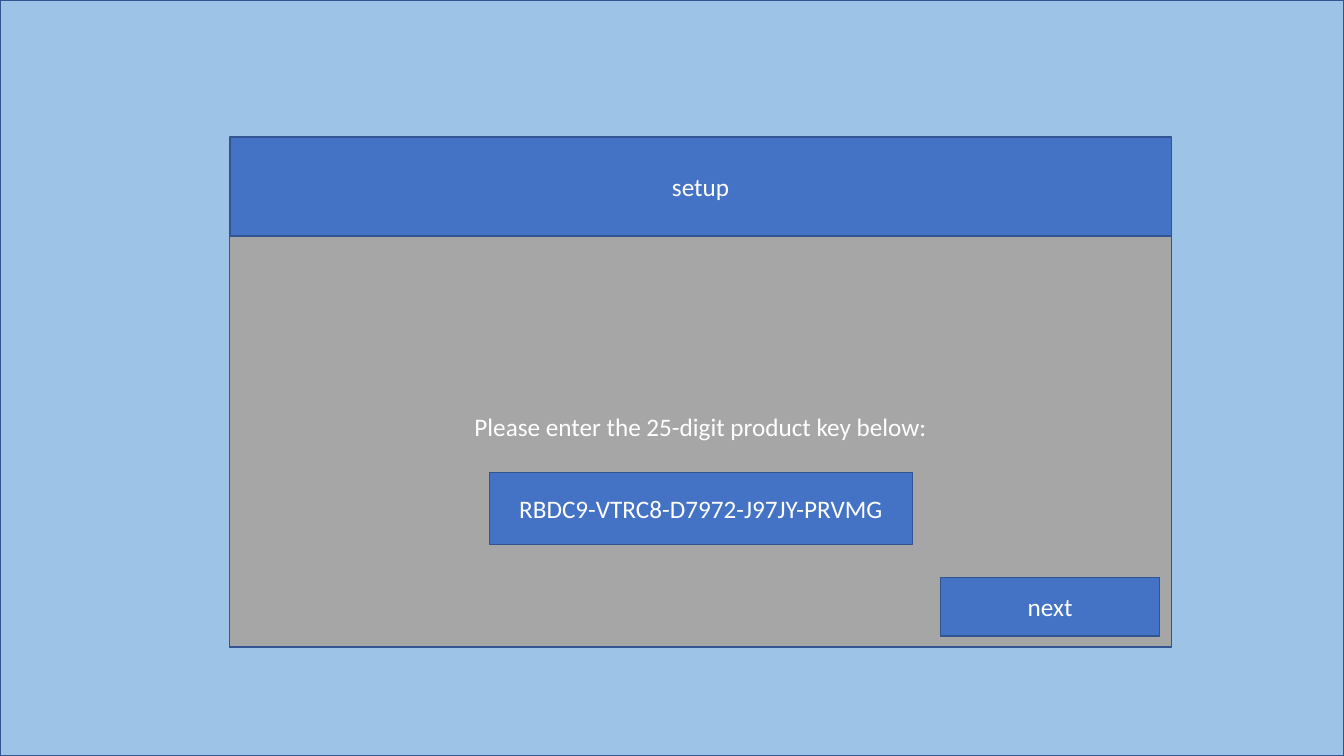
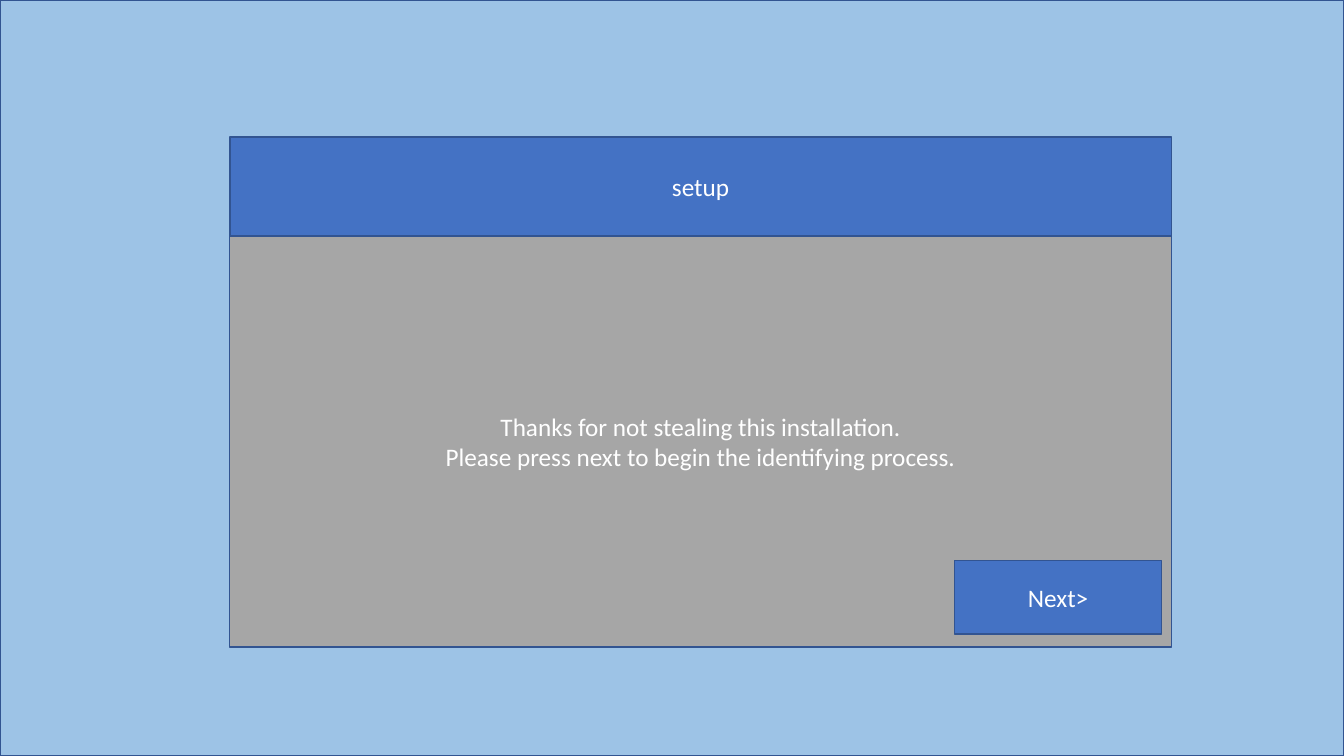
from pptx import Presentation
from pptx.dml.color import RGBColor
from pptx.enum.shapes import MSO_SHAPE
from pptx.enum.text import MSO_ANCHOR, MSO_AUTO_SIZE, PP_ALIGN
from pptx.util import Inches, Pt

RECT = MSO_SHAPE.RECTANGLE
MIDDLE = MSO_ANCHOR.MIDDLE
CENTER = PP_ALIGN.CENTER
FIXED = MSO_AUTO_SIZE.NONE

COLORS = {"sky": "9DC3E6", "panel": "A6A6A6", "blue": "4472C4",
          "edge": "325491", "text": "FFFFFF"}
LEFT, WIDTH = 17.1, 70.05
TOP, HEAD, BODY = 18.13, 13.07, 54.4


class Wizard:
    font = "Calibri"
    size = Pt(18)

    def __init__(self):
        self.deck = Presentation()
        self.deck.slide_width = Inches(13.33)
        self.deck.slide_height = Inches(7.5)
        self.slide = None

    def color(self, name):
        return RGBColor.from_string(COLORS[name])

    def place(self, shape, box):
        x, y, w, h = box
        wide, high = self.deck.slide_width, self.deck.slide_height
        shape.left, shape.width = (int(wide * n / 100) for n in (x, w))
        shape.top, shape.height = (int(high * n / 100) for n in (y, h))

    def paint(self, shape, fill):
        shape.fill.solid()
        shape.fill.fore_color.rgb = self.color(fill)
        shape.line.color.rgb = self.color("edge")
        shape.line.width = Pt(1)

    def label(self, shape, lines, lift=0):
        frame = shape.text_frame
        frame.text = "\n".join(lines)
        frame.word_wrap = True
        frame.auto_size = FIXED
        frame.vertical_anchor = MIDDLE
        frame.margin_bottom = Inches(0.05 + lift)
        for para in frame.paragraphs:
            para.alignment = CENTER
            para.font.name = self.font
            para.font.size = self.size
            para.font.color.rgb = self.color("text")

    def block(self, box, fill, lines=(), lift=0):
        shape = self.slide.shapes.add_shape(RECT, 0, 0, 0, 0)
        shape.shadow.inherit = False
        self.place(shape, box)
        self.paint(shape, fill)
        if lines:
            self.label(shape, lines, lift)

    def button(self, box, text):
        self.block(box, "blue", [text])

    def title(self, text):
        head = self.slide.shapes.title
        self.place(head, (LEFT, TOP, WIDTH, HEAD))
        self.paint(head, "blue")
        self.label(head, [text])
        head.element.getparent().append(head.element)

    def page(self, lines, lift=0):
        layout = self.deck.slide_layouts.get_by_name("Title Only")
        self.slide = self.deck.slides.add_slide(layout)
        self.block((0, 0, 100, 100), "sky")
        self.block((LEFT, TOP + HEAD, WIDTH, BODY), "panel", lines, lift)
        self.title("setup")


wizard = Wizard()

wizard.page(["Please enter the 25-digit product key below:"], lift=0.3)
wizard.button((36.4, 62.53, 31.5, 9.47), "RBDC9-VTRC8-D7972-J97JY-PRVMG")
wizard.button((70, 76.4, 16.28, 7.73), "next")

wizard.page(["Thanks for not stealing this installation.",
             "Please press next to begin the identifying process."])
wizard.button((71.04, 74.13, 15.38, 9.73), "Next>")

wizard.deck.save("out.pptx")
